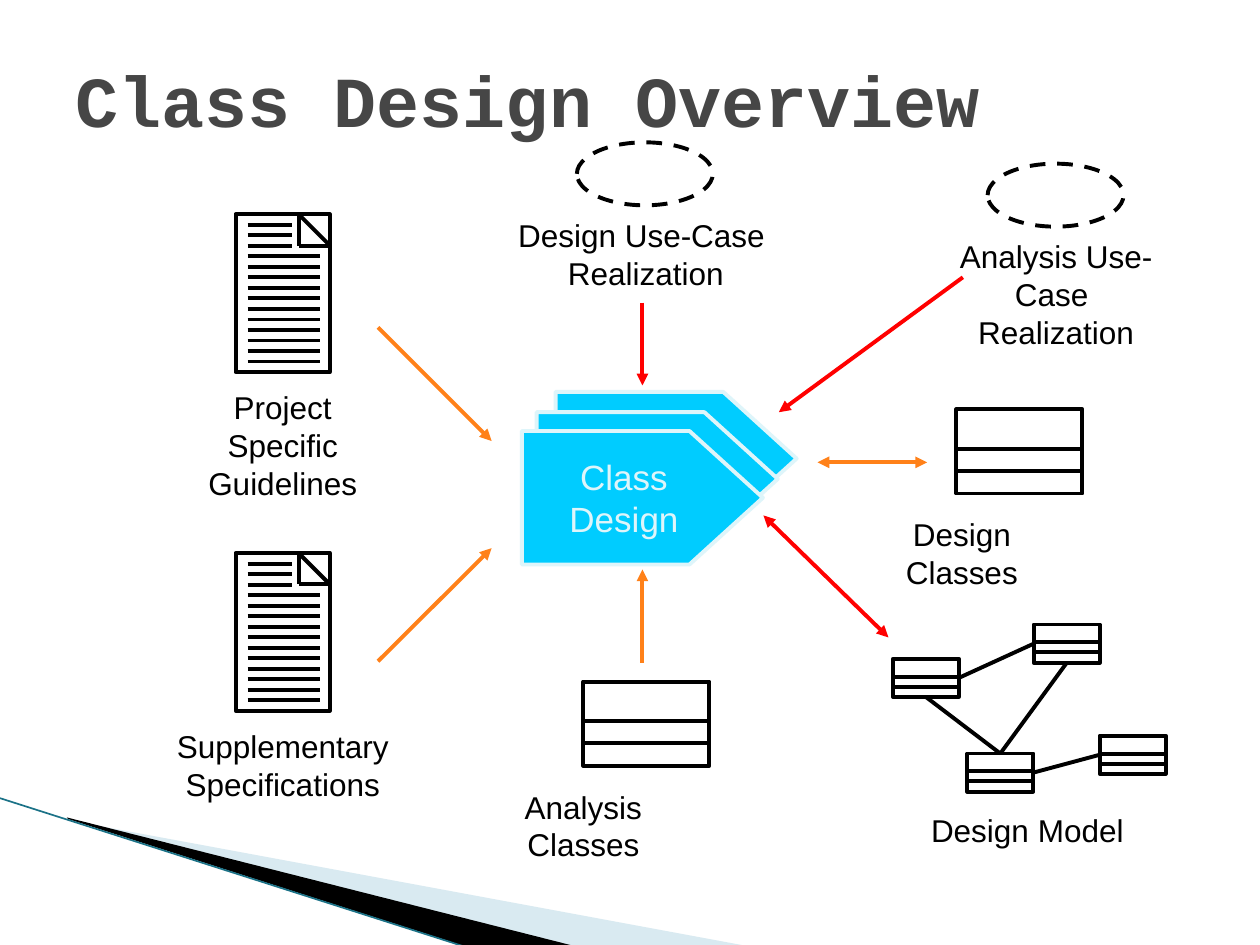
from lxml.etree import SubElement
from pptx import Presentation
from pptx.dml.color import RGBColor
from pptx.enum.dml import MSO_LINE
from pptx.enum.shapes import MSO_CONNECTOR, MSO_SHAPE
from pptx.enum.text import MSO_ANCHOR, PP_ALIGN
from pptx.oxml.ns import qn
from pptx.util import Cm, Pt

BLACK = RGBColor(0x00, 0x00, 0x00)
GREY = RGBColor(0x46, 0x46, 0x46)
RED = RGBColor(0xFF, 0x00, 0x00)
ORANGE = RGBColor(0xFF, 0x81, 0x19)
CYAN = RGBColor(0x00, 0xCC, 0xFF)
PALE = RGBColor(0xDE, 0xF5, 0xFA)
MIST = RGBColor(0xA0, 0xCB, 0xDC)
TEAL = RGBColor(0x1B, 0x72, 0x87)

TOP, LEFT, BOTTOM, RIGHT = range(4)  # connection sites of a rectangle


def format_text(frame, size, color, font="Arial", align=PP_ALIGN.CENTER, bold=False):
    for paragraph in frame.paragraphs:
        paragraph.alignment = align
        for span in paragraph.runs:
            span.font.name = font
            span.font.size = Pt(size)
            span.font.bold = bold
            span.font.color.rgb = color


def add_title(page, text):
    title = page.shapes.title
    title.left, title.top, title.width, title.height = Cm(1.27), Cm(0.41), Cm(22.86), Cm(3.18)
    title.text_frame.text = text
    title.text_frame.vertical_anchor = MSO_ANCHOR.MIDDLE
    format_text(title.text_frame, 41, GREY, "Courier New", PP_ALIGN.LEFT, True)


def add_label(page, text, center, top, width, wrap=False):
    """Centred caption; a wrapping one has no insets."""
    height = 1.78 if "\n" in text or "\v" in text else 1.02
    box = page.shapes.add_textbox(Cm(center - width / 2), Cm(top), Cm(width), Cm(height))
    frame = box.text_frame
    frame.word_wrap = wrap
    if wrap:
        frame.margin_left = frame.margin_right = frame.margin_top = frame.margin_bottom = 0
    frame.text = text
    format_text(frame, 18, BLACK)


def add_outline(page, kind, left, top, width, height, fill=None, color=BLACK):
    shape = page.shapes.add_shape(kind, Cm(left), Cm(top), Cm(width), Cm(height))
    shape.shadow.inherit = False
    if fill is None:
        shape.fill.background()
    else:
        shape.fill.solid()
        shape.fill.fore_color.rgb = fill
    shape.line.color.rgb = color
    shape.line.width = Pt(2.25)
    return shape


def add_line(page, x1, y1, x2, y2, color=BLACK, width=2.25, ends=()):
    line = page.shapes.add_connector(MSO_CONNECTOR.STRAIGHT, Cm(x1), Cm(y1), Cm(x2), Cm(y2))
    line.line.color.rgb = color
    line.line.width = Pt(width)
    for end in ends:
        SubElement(line.line._get_or_add_ln(), qn(f"a:{end}"), type="triangle")
    SubElement(line._element.spPr, qn("a:effectLst"))
    return line


def add_wedge(page, points, color, opacity=100):
    corners = [(Cm(x), Cm(y)) for x, y in points]
    builder = page.shapes.build_freeform(*corners[0])
    builder.add_line_segments(corners[1:], close=True)
    wedge = builder.convert_to_shape()
    wedge.shadow.inherit = False
    wedge.line.fill.background()
    wedge.fill.solid()
    wedge.fill.fore_color.rgb = color
    if opacity < 100:
        tone = wedge._element.spPr.find(".//" + qn("a:srgbClr"))
        SubElement(tone, qn("a:alpha"), val=str(opacity * 1000))


def add_document(page, top, text):
    """Sheet with a folded corner, ruled lines and a caption."""
    left, width, height, fold = 4.75, 1.9, 3.18, 0.63
    right, pitch = left + width, height / 15
    add_outline(page, MSO_SHAPE.RECTANGLE, left, top, width, height)
    add_line(page, right - fold, top, right, top + fold)
    add_line(page, right - fold, top, right - fold, top + fold)
    add_line(page, right, top + fold, right - fold, top + fold)
    for row in range(1, 15):
        y = top + row * pitch
        add_line(page, left + 0.24, y, left + (1.14 if row <= 3 else 1.71), y)
    add_label(page, text, left + width / 2, top + 3.38, 4.8)


def add_class(page, left, top, width, height):
    """Class symbol with three compartments."""
    box = add_outline(page, MSO_SHAPE.RECTANGLE, left, top, width, height)
    for share in (0.47, 0.73):
        y = top + share * height
        add_line(page, left, y, left + width, y)
    return box


def add_realization(page, left, top, text, label_center):
    ellipse = add_outline(page, MSO_SHAPE.OVAL, left, top, 2.74, 1.27)
    ellipse.line.dash_style = MSO_LINE.DASH
    add_label(page, text, label_center, top + 1.36, 5.8)


def add_activity(page, text):
    """Stack of three pentagons, the front one with text."""
    for left, top in ((11.2, 7.9), (10.82, 8.31), (10.52, 8.69)):
        plate = add_outline(page, MSO_SHAPE.PENTAGON, left, top, 4.86, 2.69, CYAN, PALE)
        plate.adjustments[0] = 0.55
    frame = plate.text_frame
    frame.word_wrap = False
    frame.vertical_anchor = MSO_ANCHOR.MIDDLE
    frame.text = text
    format_text(frame, 20, PALE)


def add_model(page):
    """Network of small classes."""
    corners = ((18, 13.28), (20.84, 12.59), (19.5, 15.19), (22.17, 14.83))
    boxes = [add_class(page, left, top, 1.33, 0.77) for left, top in corners]
    links = ((2, TOP, 0, BOTTOM), (0, RIGHT, 1, LEFT), (2, RIGHT, 3, LEFT), (2, TOP, 1, BOTTOM))
    for start, start_site, finish, finish_site in links:
        link = add_line(page, 0, 0, 1, 1)
        link.begin_connect(boxes[start], start_site)
        link.end_connect(boxes[finish], finish_site)
    add_label(page, "Design Model", 20.71, 16.23, 4.4)


def main():
    deck = Presentation()
    deck.slide_width, deck.slide_height = Cm(25.4), Cm(19.05)
    page = deck.slides.add_slide(deck.slide_layouts[5])

    # Corner decoration
    add_wedge(page, ((1.4, 16.54), (15.11, 19.08), (11.58, 19.08), (1.4, 16.51)), MIST, 40)
    add_wedge(page, ((1.35, 16.48), (11.61, 19.08), (9.45, 19.1), (1.37, 16.51)), BLACK)
    add_line(page, 0, 16.09, 9.42, 19.1, TEAL, 0.95)

    add_title(page, "Class Design Overview")

    # Inputs and outputs around the activity
    add_document(page, 4.32, "Project Specific\vGuidelines")
    add_document(page, 11.15, "Supplementary\nSpecifications")
    add_activity(page, "Class\vDesign")
    add_realization(page, 11.63, 2.87, "Design Use-Case \nRealization", 13.02)
    add_realization(page, 19.91, 3.3, "Analysis Use-Case \nRealization", 21.29)
    add_class(page, 19.28, 8.25, 2.54, 1.7)
    add_label(page, "Design Classes", 19.39, 10.39, 2.6, wrap=True)
    add_class(page, 11.76, 13.74, 2.54, 1.7)
    add_label(page, "Analysis Classes", 11.76, 15.88, 2.6, wrap=True)
    add_model(page)

    # Arrows
    one_way, two_way = ("tailEnd",), ("headEnd", "tailEnd")
    arrows = (
        (7.62, 6.6, 9.91, 8.89, ORANGE, one_way),
        (7.62, 13.33, 9.91, 11.05, ORANGE, one_way),
        (12.95, 13.36, 12.95, 11.48, ORANGE, one_way),
        (16.48, 9.32, 18.69, 9.32, ORANGE, two_way),
        (17.91, 12.85, 15.39, 10.39, RED, two_way),
        (19.41, 5.59, 15.7, 8.31, RED, one_way),
        (12.95, 6.1, 12.95, 7.77, RED, one_way),
    )
    for x1, y1, x2, y2, color, ends in arrows:
        add_line(page, x1, y1, x2, y2, color, ends=ends)

    deck.save("out.pptx")


if __name__ == "__main__":
    main()
